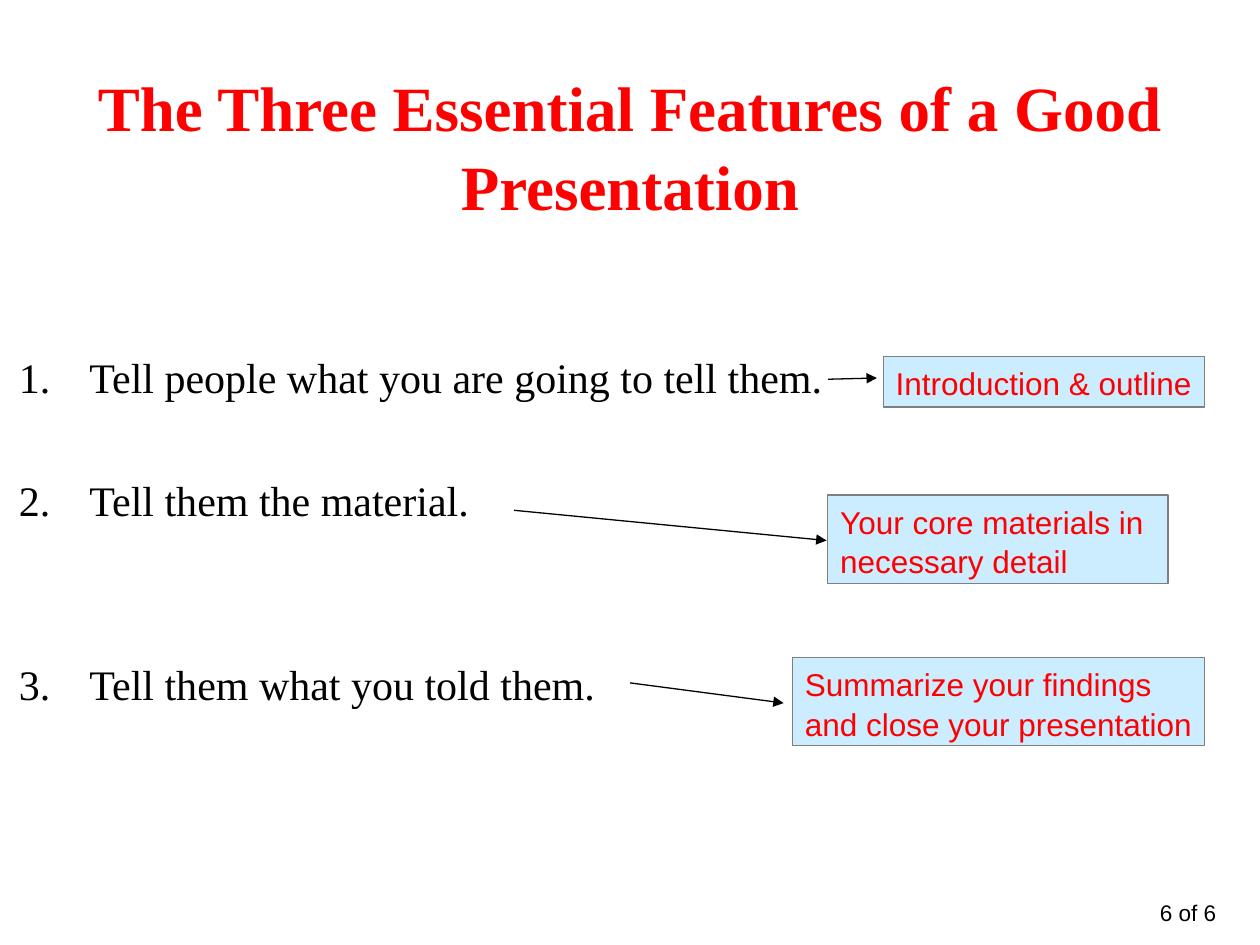
from pptx import Presentation
from pptx.dml.color import RGBColor
from pptx.enum.shapes import MSO_CONNECTOR, MSO_SHAPE
from pptx.enum.text import MSO_ANCHOR, MSO_AUTO_SIZE, PP_ALIGN
from pptx.oxml.ns import qn
from pptx.util import Inches, Pt
from lxml.etree import SubElement

RED = RGBColor(0xFF, 0x00, 0x00)
BLACK = RGBColor(0x00, 0x00, 0x00)
GREY = RGBColor(0x7F, 0x7F, 0x7F)
PALE_BLUE = RGBColor(0xCC, 0xEC, 0xFF)
LINE_SPACING = 1.04


def set_font(paragraph, name, size, color):
    paragraph.font.name = name
    paragraph.font.size = Pt(size)
    paragraph.font.color.rgb = color


def place(shape, left, top, width, height):
    shape.left, shape.top = Inches(left), Inches(top)
    shape.width, shape.height = Inches(width), Inches(height)


presentation = Presentation()
presentation.slide_width, presentation.slide_height = Inches(10), Inches(7.5)
slide = presentation.slides.add_slide(presentation.slide_layouts[1])

# Title
title = slide.shapes.title
place(title, 0, 0.52, 10, 1.25)
title.text_frame.text = "The Three Essential Features of a Good Presentation"
title.text_frame.auto_size = MSO_AUTO_SIZE.NONE
title.text_frame.vertical_anchor = MSO_ANCHOR.MIDDLE
heading = title.text_frame.paragraphs[0]
heading.alignment = PP_ALIGN.CENTER
heading.line_spacing = LINE_SPACING
set_font(heading, "Times New Roman", 36, RED)
heading.font.bold = True

# Numbered advice: text and space before in points
advice = [
    ("Tell people what you are going to tell them.", 0),
    ("Tell them the material.", 40.6),
    ("Tell them what you told them.", 75.4),
]
body = slide.placeholders[1]
place(body, 0.05, 2.7, 6.9, 4.37)
body.text_frame.auto_size = MSO_AUTO_SIZE.NONE
body.text_frame.vertical_anchor = MSO_ANCHOR.TOP
body.text_frame.margin_top = Inches(0.07)
body.text_frame.text = "\n".join(text for text, _ in advice)
for step, (_, space_before) in zip(body.text_frame.paragraphs, advice):
    step.line_spacing = LINE_SPACING
    step.space_before = Pt(space_before)
    properties = step._p.get_or_add_pPr()
    properties.set("marL", str(Inches(0.56)))
    properties.set("indent", str(Inches(-0.56)))
    SubElement(properties, qn("a:buFont"), typeface="Times New Roman")
    SubElement(properties, qn("a:buAutoNum"), type="arabicPeriod")
    set_font(step, "Times New Roman", 24, BLACK)

# Callouts naming the part of the talk
callouts = [
    ("Introduction & outline", 7.01, 2.83, 2.55, 0.4),
    ("Your core materials in\nnecessary detail", 6.57, 3.93, 2.7, 0.7),
    ("Summarize your findings\nand close your presentation", 6.29, 5.22, 3.27, 0.7),
]
for text, *bounds in callouts:
    callout = slide.shapes.add_shape(MSO_SHAPE.RECTANGLE, *map(Inches, bounds))
    callout.shadow.inherit = False
    callout.fill.solid()
    callout.fill.fore_color.rgb = PALE_BLUE
    callout.line.color.rgb = GREY
    callout.line.width = Pt(0.75)
    callout.text_frame.text = text
    callout.text_frame.word_wrap = False
    callout.text_frame.vertical_anchor = MSO_ANCHOR.TOP
    for paragraph in callout.text_frame.paragraphs:
        paragraph.alignment = PP_ALIGN.LEFT
        paragraph.line_spacing = LINE_SPACING
        set_font(paragraph, "Arial", 18, RED)

# Arrows from each step to its callout
arrows = [
    (6.57, 3.01, 6.96, 3),
    (4.08, 4.05, 6.56, 4.29),
    (5, 5.42, 6.22, 5.58),
]
for ends in arrows:
    arrow = slide.shapes.add_connector(MSO_CONNECTOR.STRAIGHT, *map(Inches, ends))
    arrow.line.color.rgb = BLACK
    arrow.line.width = Pt(0.75)
    SubElement(arrow.line._get_or_add_ln(), qn("a:tailEnd"), type="triangle")
    SubElement(arrow._element.spPr, qn("a:effectLst"))

# Page count
page_count = slide.shapes.add_textbox(Inches(7.42), Inches(7.08), Inches(2.33), Inches(0.33))
page_count.text_frame.word_wrap = True
page_count.text_frame.text = "6 of 6"
page_label = page_count.text_frame.paragraphs[0]
page_label.alignment = PP_ALIGN.RIGHT
page_label.line_spacing = LINE_SPACING
set_font(page_label, "Arial", 12.9, BLACK)

presentation.save("out.pptx")
